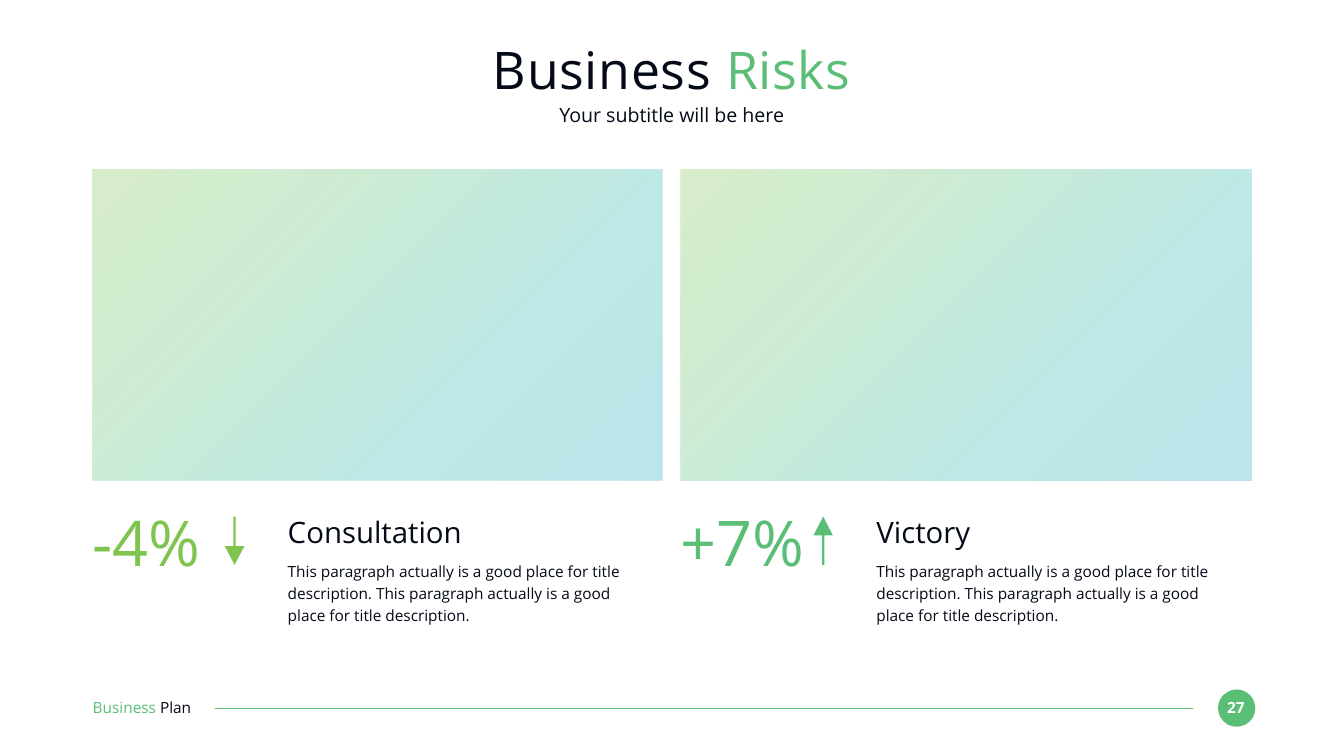
from dataclasses import dataclass

from lxml import etree
from pptx import Presentation
from pptx import util as u
from pptx.dml.color import RGBColor
from pptx.enum import shapes, text
from pptx.oxml import parse_xml
from pptx.oxml.ns import nsdecls, qn


@dataclass(frozen=True)
class Theme:
    font: str = "Open Sans"
    ink: str = "050A19"
    green: str = "5ABE76"
    lime: str = "7FC44F"
    white: str = "FFFFFF"
    gradient: tuple = ((0, "7FC44F"), (33, "5ABE76"), (66, "25B7AC"), (100, "26A6C1"))
    gradient_alpha: int = 30
    title: int = 74
    subtitle: int = 28
    figure: int = 90
    heading: int = 42
    body: int = 22


theme = Theme()
CENTER = text.PP_ALIGN.CENTER


def write(sp, runs, size, align=text.PP_ALIGN.LEFT, bold=False):
    """Fill a shape with one paragraph of (wording, colour) runs."""
    tf = sp.text_frame
    tf.word_wrap = True
    tf.margin_left = tf.margin_right = tf.margin_top = tf.margin_bottom = 0
    tf.vertical_anchor = text.MSO_ANCHOR.MIDDLE
    p = tf.paragraphs[0]
    p.alignment = align
    for wording, color in runs:
        r = p.add_run()
        r.text = wording
        r.font.name = theme.font
        r.font.size = u.Pt(size)
        r.font.bold = bold
        r.font.color.rgb = RGBColor.from_string(color)
    return p


def add_shape(kind, x, y, w, h, color):
    """Add a flat preset shape without outline."""
    sp = s.shapes.add_shape(kind, u.Inches(x), u.Inches(y), u.Inches(w), u.Inches(h))
    sp.shadow.inherit = False
    sp.line.fill.background()
    sp.fill.solid()
    sp.fill.fore_color.rgb = RGBColor.from_string(color)
    return sp


prs = Presentation()
prs.slide_width, prs.slide_height = u.Inches(26.67), u.Inches(15)
s = prs.slides.add_slide(prs.slide_layouts[5])

# Footer: rule, page number, name of the deck
line = s.shapes.add_connector(shapes.MSO_CONNECTOR.STRAIGHT, u.Inches(4.27),
                              u.Inches(14.05), u.Inches(23.67), u.Inches(14.05))
line.line.color.rgb = RGBColor.from_string(theme.green)
line.line.width = u.Pt(1.5)
etree.SubElement(line._element.spPr, qn("a:effectLst"))

add_shape(shapes.MSO_SHAPE.OVAL, 24.17, 13.68, 0.74, 0.74, theme.green)
page = s.shapes.add_textbox(u.Inches(24.23), u.Inches(13.85), u.Inches(0.59), u.Inches(0.37))
write(page, [("27", theme.white)], theme.body, CENTER, bold=True)
deck = s.shapes.add_textbox(u.Inches(1.84), u.Inches(13.84), u.Inches(2.59), u.Inches(0.37))
write(deck, [("Business ", theme.green), ("Plan", theme.ink)], theme.body)

# Title and subtitle
title = s.shapes.title
title.left, title.top = u.Inches(1.83), u.Inches(0.73)
title.width, title.height = u.Inches(23), u.Inches(1.27)
p = write(title, [("Business ", theme.ink), ("Risks", theme.green)], theme.title, CENTER)
for r in p.runs:
    r.font._element.set("spc", "100")
subtitle = s.shapes.add_textbox(u.Inches(1.83), u.Inches(2.03), u.Inches(23), u.Inches(0.49))
write(subtitle, [("Your subtitle will be here", theme.ink)], theme.subtitle, CENTER)

# Two columns: panel, figure with arrow, heading and description
stops = "".join(
    f'<a:gs pos="{pos * 1000}"><a:srgbClr val="{color}">'
    f'<a:alpha val="{theme.gradient_alpha * 1000}"/></a:srgbClr></a:gs>'
    for pos, color in theme.gradient)
gradient = (f'<a:gradFill {nsdecls("a")} rotWithShape="1"><a:gsLst>{stops}</a:gsLst>'
            '<a:lin ang="2700000" scaled="0"/></a:gradFill>')
description = " ".join(["This paragraph actually is a good place for title description."] * 2)
columns = [
    (1.83, 11.31, "-4%", theme.lime, 0, "Consultation"),
    (13.51, 11.33, "+7%", theme.green, 180, "Victory"),
]
for x, width, figure, color, rotation, heading in columns:
    panel = add_shape(shapes.MSO_SHAPE.RECTANGLE, x, 3.36, width, 6.18, theme.green)
    solid = panel._element.spPr.find(qn("a:solidFill"))
    panel._element.spPr.replace(solid, parse_xml(gradient))

    arrow = add_shape(shapes.MSO_SHAPE.DOWN_ARROW, x + 2.63, 10.25, 0.39, 0.96, color)
    arrow.adjustments[0], arrow.adjustments[1] = 0.11, 0.96
    arrow.rotation = rotation

    for dx, y, w, h, wording, ink, size, spacing in [
        (0, 9.98, 2.55, 1.51, figure, color, theme.figure, None),
        (3.88, 10.19, 6.92, 0.71, heading, theme.ink, theme.heading, None),
        (3.88, 11.07, 6.92, 1.33, description, theme.ink, theme.body, 1.2),
    ]:
        box = s.shapes.add_textbox(u.Inches(x + dx), u.Inches(y), u.Inches(w), u.Inches(h))
        p = write(box, [(wording, ink)], size)
        p.line_spacing = spacing

prs.save("out.pptx")
